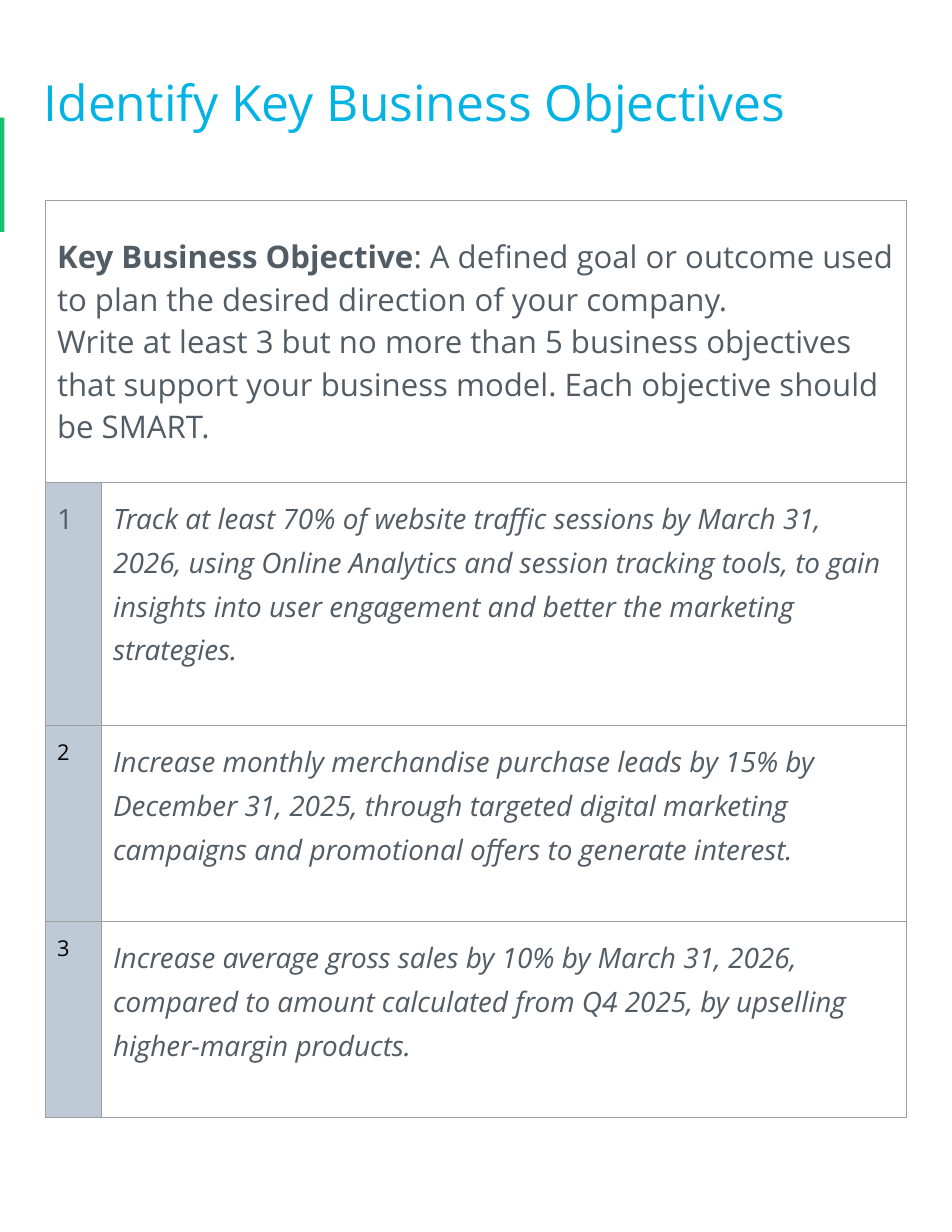
from dataclasses import dataclass

from lxml.etree import SubElement
from pptx import Presentation
from pptx.dml.color import RGBColor as RGB
from pptx.enum.shapes import MSO_SHAPE as SHAPE
from pptx.enum.text import MSO_ANCHOR as ANCHOR, MSO_AUTO_SIZE as FIT, PP_ALIGN as ALIGN
from pptx.oxml.ns import qn
from pptx.util import Inches, Pt


@dataclass(frozen=True)
class Theme:
    """Colours, font and type sizes of the worksheet."""
    font: str = "Open Sans"
    title: str = "02B3E4"
    accent: str = "15C26B"
    body: str = "525C65"
    black: str = "000000"
    label: str = "BECBD6"
    border: str = "9E9E9E"
    title_size: int = 32
    intro_size: int = 20
    body_size: int = 18
    small_size: int = 14
    border_width: float = 0.75


class Sheet:
    """Draws worksheet elements on one slide in one theme."""

    def __init__(self, s, theme):
        """Keep the slide and the theme."""
        self.s, self.theme = s, theme

    def run(self, p, text, size, color, bold=False, italic=False):
        """Add one styled run to a paragraph."""
        r = p.add_run()
        r.text = text
        f = r.font
        f.name, f.size, f.bold, f.italic = self.theme.font, Pt(size), bold, italic
        f.color.rgb = RGB.from_string(color)

    def title(self, text, left, top, width, height):
        """Place and fill the title placeholder."""
        sp = self.s.shapes.title
        sp.left, sp.top, sp.width, sp.height = map(Inches, (left, top, width, height))
        tf = sp.text_frame
        tf.word_wrap, tf.auto_size, tf.vertical_anchor = True, FIT.NONE, ANCHOR.MIDDLE
        tf.margin_left = tf.margin_right = tf.margin_top = tf.margin_bottom = Inches(0.1)
        p = tf.paragraphs[0]
        p.alignment, p.line_spacing = ALIGN.LEFT, 1.15
        self.run(p, text, self.theme.title_size, self.theme.title)

    def bar(self, left, top, width, height):
        """Draw a plain accent bar."""
        sp = self.s.shapes.add_shape(SHAPE.RECTANGLE, *map(Inches, (left, top, width, height)))
        sp.shadow.inherit = False
        sp.fill.solid()
        sp.fill.fore_color.rgb = RGB.from_string(self.theme.accent)
        sp.line.fill.background()

    def table(self, left, top, widths, heights):
        """Add a table with bordered, unfilled cells."""
        size = map(Inches, (left, top, sum(widths), sum(heights)))
        tbl = self.s.shapes.add_table(len(heights), len(widths), *size).table
        tbl.first_row = tbl.horz_banding = False
        for col, width in zip(tbl.columns, widths):
            col.width = Inches(width)
        for row, height in zip(tbl.rows, heights):
            row.height = Inches(height)
        for cell in tbl.iter_cells():
            self.border(cell)
            cell.fill.background()
            cell.margin_left = cell.margin_right = Inches(0.1)
            cell.margin_top = cell.margin_bottom = Inches(0.1)
        return tbl

    def border(self, cell):
        """Line all four sides of a cell."""
        tc_pr = cell._tc.get_or_add_tcPr()
        for side in ("a:lnL", "a:lnR", "a:lnT", "a:lnB"):
            ln = SubElement(tc_pr, qn(side), w=str(Pt(self.theme.border_width)))
            fill = SubElement(ln, qn("a:solidFill"))
            SubElement(fill, qn("a:srgbClr"), val=self.theme.border)

    def paragraph(self, cell, spacing=None, after=None):
        """Return the cell's first paragraph, spaced."""
        p = cell.text_frame.paragraphs[0]
        p.line_spacing = spacing
        p.space_after = after
        return p

    def intro(self, tbl, term, lines):
        """Fill the merged top row with a term and its explanation."""
        t, cell = self.theme, tbl.cell(0, 0)
        cell.merge(tbl.cell(0, 1))
        cell.vertical_anchor = ANCHOR.MIDDLE
        p = self.paragraph(cell, after=Pt(16))
        self.run(p, term, t.intro_size, t.body, bold=True)
        for i, line in enumerate(lines):
            if i:
                p.add_line_break()
            self.run(p, line, t.intro_size, t.body)

    def objective(self, tbl, number, text):
        """Fill one numbered row."""
        t = self.theme
        label, cell = tbl.cell(number, 0), tbl.cell(number, 1)
        label.fill.solid()
        label.fill.fore_color.rgb = RGB.from_string(t.label)
        if number == 1:
            self.run(self.paragraph(label, 1.15, Pt(16)), str(number), t.body_size, t.body)
        else:
            self.run(self.paragraph(label), str(number), t.small_size, t.black)
        self.run(self.paragraph(cell, 1.15, Pt(16)), text, t.body_size, t.body, italic=True)


OBJECTIVES = (
    "Track at least 70% of website traffic sessions by March 31, 2026, using Online Analytics "
    "and session tracking tools, to gain insights into user engagement and better the "
    "marketing strategies.",
    "Increase monthly merchandise purchase leads by 15% by December 31, 2025, through targeted "
    "digital marketing campaigns and promotional offers to generate interest.",
    "Increase average gross sales by 10% by March 31, 2026, compared to amount calculated from "
    "Q4 2025, by upselling higher-margin products.",
)


def main():
    """Build and save the worksheet."""
    prs = Presentation()
    prs.slide_width, prs.slide_height = Inches(8.5), Inches(11)
    sheet = Sheet(prs.slides.add_slide(prs.slide_layouts[5]), Theme())
    sheet.bar(0, 1.05, 0.04, 1.02)
    sheet.title("Identify Key Business Objectives", 0.29, 0.26, 7.92, 1.22)
    tbl = sheet.table(0.41, 1.79, (0.5, 7.18), (2.52, 2.17, 1.75, 1.75))
    sheet.intro(tbl, "Key Business Objective", (
        ": A defined goal or outcome used to plan the desired direction of your company.",
        "Write at least 3 but no more than 5 business objectives that support your business "
        "model. Each objective should be SMART.",
    ))
    for number, text in enumerate(OBJECTIVES, 1):
        sheet.objective(tbl, number, text)
    prs.save("out.pptx")


if __name__ == "__main__":
    main()
